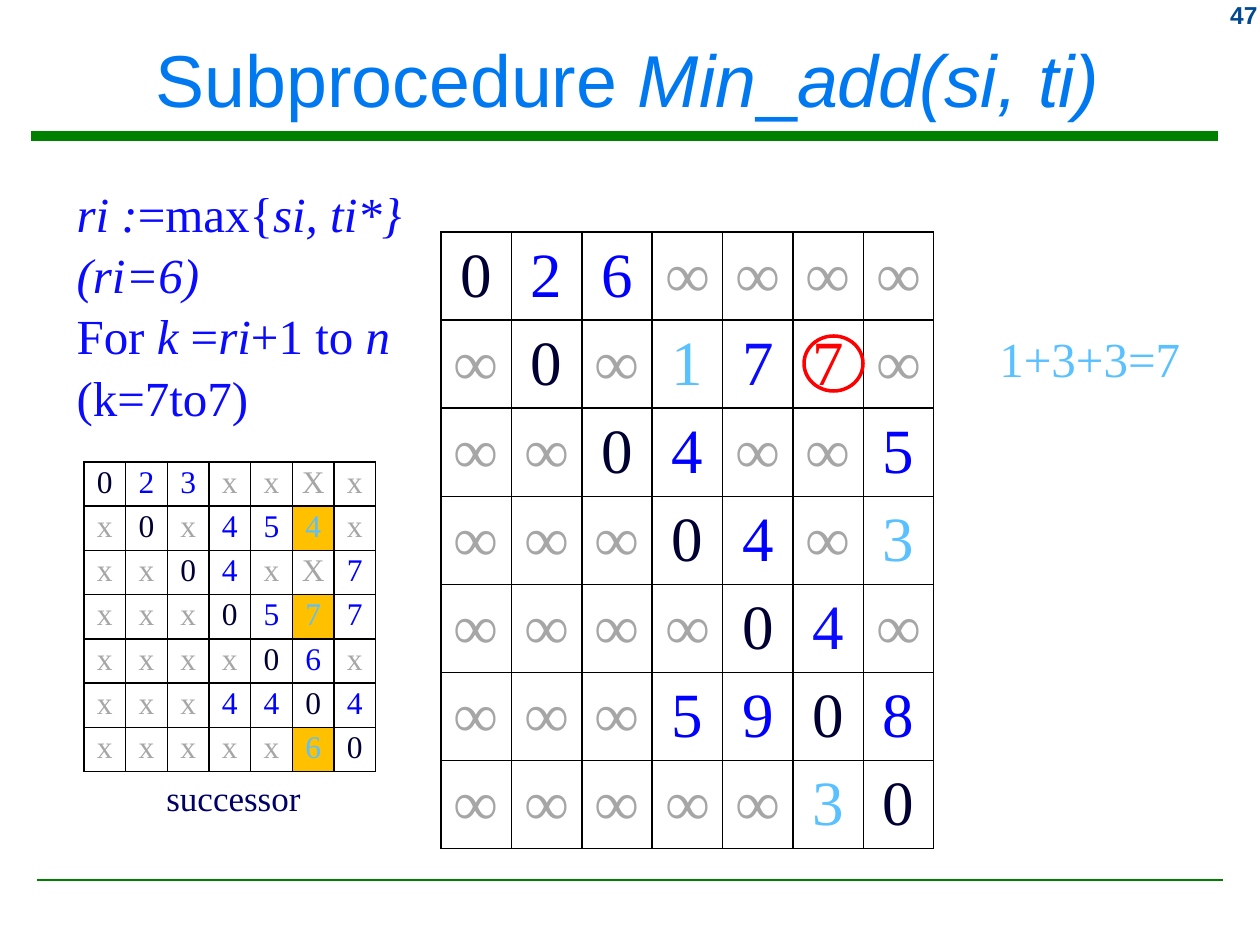
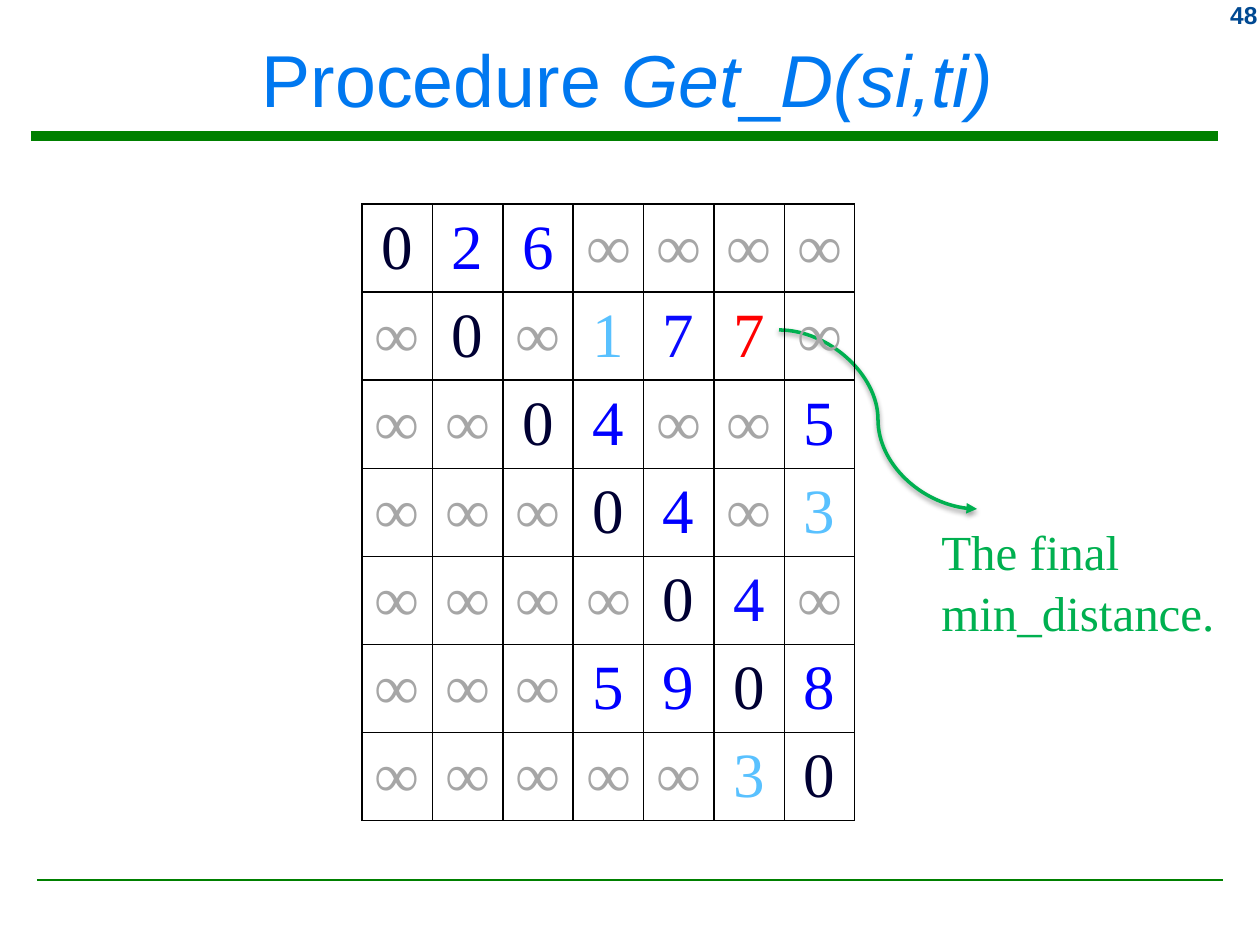
from dataclasses import dataclass, field

import lxml.etree
import pptx
import pptx.dml.color
import pptx.enum.dml
import pptx.enum.shapes
import pptx.enum.text
import pptx.oxml.ns
import pptx.shapes.connector
import pptx.slide
import pptx.table
import pptx.text.text
import pptx.util

RGBColor = pptx.dml.color.RGBColor
ALIGN = pptx.enum.text.PP_ALIGN
ANCHOR = pptx.enum.text.MSO_ANCHOR
CONNECTOR = pptx.enum.shapes.MSO_CONNECTOR
qn = pptx.oxml.ns.qn

TITLE_BLUE = RGBColor(0x00, 0x78, 0xF0)
NUMBER_BLUE = RGBColor(0x00, 0x49, 0x92)
BAND_GREEN = RGBColor(0x00, 0x80, 0x00)
NOTE_GREEN = RGBColor(0x00, 0xB0, 0x50)
CAPTION_NAVY = RGBColor(0x00, 0x00, 0x66)
DIAGONAL_NAVY = RGBColor(0x00, 0x00, 0x33)
VALUE_BLUE = RGBColor(0x00, 0x00, 0xFF)
STEP_BLUE = RGBColor(0x0A, 0x0A, 0xFF)
PATH_SKY = RGBColor(0x59, 0xC1, 0xFF)
RESULT_RED = RGBColor(0xFF, 0x00, 0x00)
EMPTY_GREY = RGBColor(0xA6, 0xA6, 0xA6)
VISITED_AMBER = RGBColor(0xFF, 0xC0, 0x00)

SANS = "Arial"
SERIF = "Times New Roman"
EMU_PER_PX = 914400 / 126
EMPTY_MARKS = "∞xX"


@dataclass(frozen=True)
class Box:
    left: int
    top: int
    width: int
    height: int

    def emu(self) -> tuple[int, ...]:
        return tuple(px(v) for v in (self.left, self.top, self.width, self.height))


@dataclass(frozen=True)
class Style:
    size: int
    color: RGBColor
    font: str = SERIF
    bold: bool = False
    align: ALIGN = ALIGN.LEFT
    line_spacing: float = 1.0


@dataclass(frozen=True)
class Piece:
    text: str
    italic: bool = False


@dataclass(frozen=True)
class Matrix:
    rows: tuple[str, ...]
    size: int
    anchor: ANCHOR
    colors: dict[tuple[int, int], RGBColor]
    fills: dict[tuple[int, int], RGBColor] = field(default_factory=dict)
    margins: tuple[int, int] = (13, 6)


TITLE = Style(42, TITLE_BLUE, SANS, align=ALIGN.CENTER)
PAGE_NUMBER = Style(14, NUMBER_BLUE, SANS, True, ALIGN.RIGHT)
STEPS = Style(28, STEP_BLUE, line_spacing=1.04)
SUM = Style(28, PATH_SKY, line_spacing=1.04)
FINAL_NOTE = Style(28, NOTE_GREEN, line_spacing=1.04)
CAPTION = Style(20, CAPTION_NAVY)

DISTANCES = Matrix(
    rows=(
        "0 2 6 ∞ ∞ ∞ ∞",
        "∞ 0 ∞ 1 7 7 ∞",
        "∞ ∞ 0 4 ∞ ∞ 5",
        "∞ ∞ ∞ 0 4 ∞ 3",
        "∞ ∞ ∞ ∞ 0 4 ∞",
        "∞ ∞ ∞ 5 9 0 8",
        "∞ ∞ ∞ ∞ ∞ 3 0",
    ),
    size=36,
    anchor=ANCHOR.MIDDLE,
    colors={(1, 3): PATH_SKY, (3, 6): PATH_SKY, (6, 5): PATH_SKY,
            (1, 4): STEP_BLUE, (4, 5): STEP_BLUE, (1, 5): RESULT_RED},
)
VISITED = ((1, 5), (3, 5), (6, 5))
SUCCESSORS = Matrix(
    rows=(
        "0 2 3 x x X x",
        "x 0 x 4 5 4 x",
        "x x 0 4 x X 7",
        "x x x 0 5 7 7",
        "x x x x 0 6 x",
        "x x x 4 4 0 4",
        "x x x x x 6 0",
    ),
    size=18,
    anchor=ANCHOR.TOP,
    colors=dict.fromkeys(VISITED, PATH_SKY),
    fills=dict.fromkeys(VISITED, VISITED_AMBER),
    margins=(6, 3),
)
MIN_ADD_STEPS = (
    (Piece("ri :", True), Piece("=max{"), Piece("si, ti*}", True)),
    (Piece("(ri=6)", True),),
    (Piece("For "), Piece("k ", True), Piece("="), Piece("ri", True),
     Piece("+1 to "), Piece("n", True)),
    (Piece("(k=7to7)"),),
)


def px(value: int) -> int:
    return pptx.util.Emu(round(value * EMU_PER_PX))


def style_runs(paragraph: pptx.text.text._Paragraph, style: Style) -> None:
    paragraph.alignment = style.align
    paragraph.line_spacing = style.line_spacing
    paragraph.space_before = pptx.util.Pt(0)
    for run in paragraph.runs:
        run.font.name = style.font
        run.font.size = pptx.util.Pt(style.size)
        run.font.bold = style.bold
        run.font.color.rgb = style.color


def write_pieces(paragraph: pptx.text.text._Paragraph,
                 pieces: tuple[Piece, ...], style: Style) -> None:
    for piece in pieces:
        run = paragraph.add_run()
        run.text = piece.text
        run.font.italic = piece.italic
    style_runs(paragraph, style)


def place(shape, box: Box) -> pptx.text.text.TextFrame:
    shape.left, shape.top, shape.width, shape.height = box.emu()
    shape.text_frame.auto_size = pptx.enum.text.MSO_AUTO_SIZE.NONE
    return shape.text_frame


def add_label(slide: pptx.slide.Slide, box: Box, text: str, style: Style,
              wrap: bool = True) -> None:
    frame = slide.shapes.add_textbox(*box.emu()).text_frame
    frame.word_wrap = wrap
    frame.text = text
    style_runs(frame.paragraphs[0], style)


def add_line(slide: pptx.slide.Slide, kind: CONNECTOR, start: tuple[int, int],
             end: tuple[int, int], color: RGBColor,
             weight: float) -> pptx.shapes.connector.Connector:
    line = slide.shapes.add_connector(kind, *(px(v) for v in start + end))
    line.line.color.rgb = color
    line.line.width = pptx.util.Pt(weight)
    lxml.etree.SubElement(line._element.spPr, qn("a:effectLst"))
    return line


def add_page(deck: pptx.presentation.Presentation, layout: int, number: int,
             title: tuple[Piece, ...]) -> pptx.slide.Slide:
    slide = deck.slides.add_slide(deck.slide_layouts[layout])
    add_line(slide, CONNECTOR.STRAIGHT, (31, 136), (1218, 136), BAND_GREEN, 5.25)
    add_line(slide, CONNECTOR.STRAIGHT, (37, 880), (1223, 880), BAND_GREEN, 1)
    add_label(slide, Box(1155, -6, 115, 42), str(number), PAGE_NUMBER)
    heading = place(slide.shapes.title, Box(10, 11, 1235, 134))
    heading.vertical_anchor = ANCHOR.MIDDLE
    write_pieces(heading.paragraphs[0], title, TITLE)
    return slide


def add_borders(cell: pptx.table._Cell) -> None:
    properties = cell._tc.get_or_add_tcPr()
    for side in ("a:lnL", "a:lnR", "a:lnT", "a:lnB"):
        edge = lxml.etree.SubElement(properties, qn(side), w=str(pptx.util.Pt(1)))
        fill = lxml.etree.SubElement(edge, qn("a:solidFill"))
        lxml.etree.SubElement(fill, qn("a:srgbClr"), val="000000")


def add_matrix(slide: pptx.slide.Slide, box: Box, matrix: Matrix) -> None:
    values = [row.split() for row in matrix.rows]
    grid = slide.shapes.add_table(len(values), len(values[0]), *box.emu()).table
    grid.first_row = grid.horz_banding = False
    side, end = (px(margin) for margin in matrix.margins)
    for r, row in enumerate(values):
        for c, value in enumerate(row):
            cell = grid.cell(r, c)
            add_borders(cell)
            if (r, c) in matrix.fills:
                cell.fill.solid()
                cell.fill.fore_color.rgb = matrix.fills[r, c]
            else:
                cell.fill.background()
            cell.margin_left = cell.margin_right = side
            cell.margin_top = cell.margin_bottom = end
            cell.vertical_anchor = matrix.anchor
            if r == c:
                usual = DIAGONAL_NAVY
            else:
                usual = EMPTY_GREY if value in EMPTY_MARKS else VALUE_BLUE
            color = matrix.colors.get((r, c), usual)
            cell.text_frame.text = value
            style_runs(cell.text_frame.paragraphs[0],
                       Style(matrix.size, color, align=ALIGN.CENTER))


def add_steps(slide: pptx.slide.Slide, box: Box) -> None:
    frame = place(slide.placeholders[1], box)
    for index, pieces in enumerate(MIN_ADD_STEPS):
        step = frame.add_paragraph() if index else frame.paragraphs[0]
        properties = step._p.get_or_add_pPr()
        properties.set("marL", "0")
        properties.set("indent", "0")
        lxml.etree.SubElement(properties, qn("a:buNone"))
        write_pieces(step, pieces, STEPS)


def add_result_arrow(slide: pptx.slide.Slide) -> None:
    arrow = add_line(slide, CONNECTOR.CURVE, (779, 330), (977, 509), NOTE_GREEN, 2)
    lxml.etree.SubElement(arrow.line._get_or_add_ln(), qn("a:tailEnd"), type="triangle")
    effects = arrow._element.spPr.find(qn("a:effectLst"))
    shadow = lxml.etree.SubElement(
        effects, qn("a:outerShdw"), blurRad=str(pptx.util.Pt(3.1)),
        dist=str(pptx.util.Pt(1.6)), dir="5400000", rotWithShape="0")
    black = lxml.etree.SubElement(shadow, qn("a:srgbClr"), val="000000")
    lxml.etree.SubElement(black, qn("a:alpha"), val="38000")


def build_min_add(deck: pptx.presentation.Presentation) -> None:
    slide = add_page(deck, 1, 47, (Piece("Subprocedure "), Piece("Min", True),
                                   Piece("_"), Piece("add(si, ti)", True)))
    add_matrix(slide, Box(441, 232, 493, 617), DISTANCES)
    add_label(slide, Box(154, 770, 161, 55), "successor", CAPTION, wrap=False)
    add_steps(slide, Box(64, 175, 407, 310))
    add_label(slide, Box(987, 320, 218, 72), "1+3+3=7", SUM)
    add_matrix(slide, Box(84, 462, 292, 310), SUCCESSORS)
    ring = slide.shapes.add_shape(pptx.enum.shapes.MSO_SHAPE.OVAL,
                                  *Box(804, 336, 59, 55).emu())
    ring.shadow.inherit = False
    ring.fill.background()
    ring.line.color.rgb = RESULT_RED
    ring.line.width = pptx.util.Pt(2)


def build_get_d(deck: pptx.presentation.Presentation) -> None:
    slide = add_page(deck, 5, 48, (Piece("Procedure "), Piece("Get", True),
                                   Piece("_"), Piece("D(si,ti)", True)))
    add_result_arrow(slide)
    add_label(slide, Box(929, 513, 307, 131), "The final min_distance.", FINAL_NOTE)
    add_matrix(slide, Box(362, 204, 493, 617), DISTANCES)


def main() -> None:
    deck = pptx.Presentation()
    deck.slide_width, deck.slide_height = px(1260), px(945)
    build_min_add(deck)
    build_get_d(deck)
    deck.save("out.pptx")


if __name__ == "__main__":
    main()
